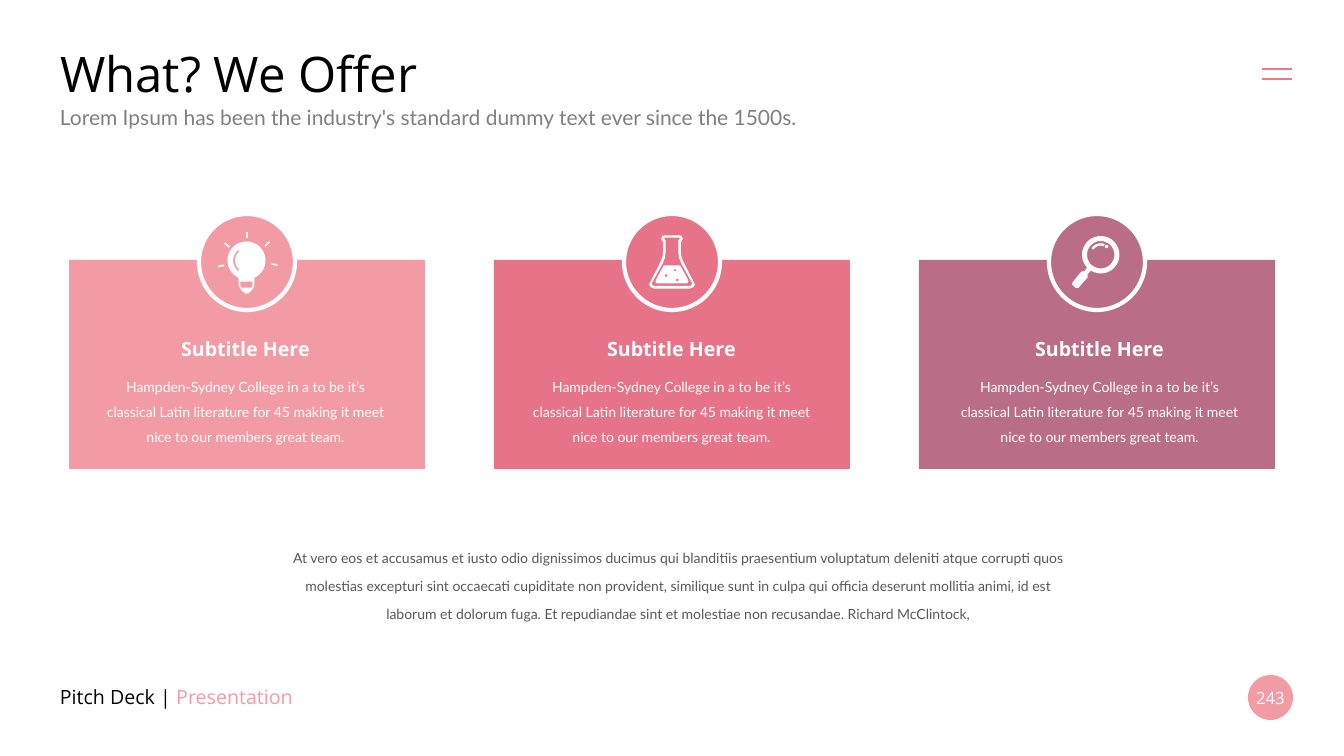
from math import cos, sin, radians
from lxml import etree
from pptx import Presentation, util as u
from pptx.dml.color import RGBColor
from pptx.enum import shapes as es, text as et
from pptx.oxml.ns import qn

PX = 914400 / 100.8
WHITE, PINK, GREY = "FFFFFF", "F29BA5", "595959"
MID, LEFT = et.PP_ALIGN.CENTER, et.PP_ALIGN.LEFT

# Content
TITLE = "What? We Offer"
LEAD = "Lorem Ipsum has been the industry's standard dummy text ever since the 1500s."
FOOT = [("Pitch Deck | ", "000000"), ("Presentation", PINK)]
PAGE = "243"
HEAD = "Subtitle Here"
BODY = ["Hampden-Sydney College in a to be it’s",
        "classical Latin literature for 45 making it meet nice to our members great team."]
NOTE = ["At vero eos et accusamus et iusto odio dignissimos ducimus qui blanditiis "
        "praesentium voluptatum deleniti atque corrupti quos",
        "molestias excepturi sint occaecati cupiditate non provident, similique sunt in "
        "culpa qui officia deserunt mollitia animi, id est laborum et dolorum fuga. "
        "Et repudiandae sint et molestiae non recusandae. Richard McClintock,"]


# Icon outlines, in tenths of a px from the badge centre
def arc(x, y, r, a, b):
    n = max(8, abs(b - a) // 8)
    turns = [radians(a + (b - a) * i / n) for i in range(n + 1)]
    return [(round(x + r * cos(t)), round(y + r * sin(t))) for t in turns]


def ring(x, y, r):
    return arc(x, y, r, 0, 360)


def moon(x, y, far, near, a, b):
    return arc(x, y, far, a, b) + arc(x, y, near, b, a)


def twin(half):
    return half + [(-x, y) for x, y in reversed(half)]


BULB = [
    [arc(-5, -15, 190, 115, 425) + [(75, 240), (50, 280), (12, 317), (-18, 317),
                                    (-56, 280), (-82, 240)],
     [(-65, 197), (55, 197), (55, 240), (45, 257), (-55, 257), (-65, 240)],
     moon(-5, -15, 133, 114, 128, 232)],
    [[(-8, -297), (10, -297), (10, -235), (-8, -235)]],
    [[(-228, -185), (-215, -195), (-170, -155), (-183, -143)]],
    [[(-292, 38), (-235, 25), (-225, 42), (-290, 55)]],
    [[(245, 15), (305, 20), (305, 38), (245, 28)]],
    [[(175, -165), (220, -207), (232, -195), (185, -153)]],
]
FLASK = [[
    twin([(65, -267), (95, -262), (108, -235), (100, -210), (88, -202), (88, -100),
          (95, -50), (115, 0), (217, 200), (230, 225), (217, 250), (180, 265)]),
    twin([(65, -244), (82, -235), (63, -215), (63, -100), (72, -40), (93, 15),
          (198, 205), (200, 230), (180, 240)]),
    twin([(82, 35), (160, 177), (165, 200), (150, 215)]),
    ring(53, 180, 13), ring(30, 82, 11), ring(-60, 135, 13),
]]
LENS = [
    [ring(38, -72, 187), ring(38, -72, 137)],
    [[(-135, 107), (-85, 35), (-45, 65), (-95, 126)]],
    [[(-165, 105), (-145, 92), (-125, 95), (-95, 128), (-95, 155), (-185, 258),
      (-215, 260), (-250, 225), (-245, 205)]],
    [moon(38, -72, 114, 90, 215, 290)],
    [ring(97, -155, 17)],
]
# Colour, icon, left edge of the text
CARDS = [(PINK, BULB, 87), ("E77388", FLASK, 513), ("BA6D87", LENS, 941)]


def px(*vals):
    return [round(v * PX) for v in vals]


def tint(hexa):
    return RGBColor.from_string(hexa)


def paint(shp, fill, edge=None):
    shp.shadow.inherit = False
    shp.fill.solid()
    shp.fill.fore_color.rgb = tint(fill)
    if edge:
        shp.line.color.rgb = tint(edge)
        shp.line.width = u.Pt(3)
    else:
        shp.line.fill.background()


def write(shp, paras, size, face, color, **fmt):
    frame = shp.text_frame
    frame.word_wrap = True
    frame.auto_size = et.MSO_AUTO_SIZE.NONE
    frame.vertical_anchor = fmt.pop("anchor", et.MSO_ANCHOR.TOP)
    bold = fmt.pop("bold", False)
    for i, para in enumerate(paras):
        p = frame.add_paragraph() if i else frame.paragraphs[0]
        for key, val in fmt.items():
            setattr(p, key, val)
        runs = [(para, color)] if isinstance(para, str) else para
        for words, hue in runs:
            r = p.add_run()
            r.text = words
            for key, val in dict(size=u.Pt(size), name=face, bold=bold).items():
                setattr(r.font, key, val)
            r.font.color.rgb = tint(hue)


def label(box, *args, **fmt):
    write(slide.shapes.add_textbox(*px(*box)), *args, **fmt)


def block(kind, box, fill, edge=None):
    shp = slide.shapes.add_shape(kind, *px(*box))
    paint(shp, fill, edge)
    return shp


def draw(icon, x, y):
    group = slide.shapes.add_group_shape()
    for part in icon:
        pen = group.shapes.build_freeform(*part[0][0], scale=PX / 10)
        pen.add_line_segments(part[0][1:])
        for loop in part[1:]:
            pen.move_to(*loop[0])
            pen.add_line_segments(loop[1:])
        paint(pen.convert_to_shape(*px(x, y)), WHITE)


deck = Presentation()
deck.slide_width, deck.slide_height = px(1344, 756)
slide = deck.slides.add_slide(deck.slide_layouts[5])
OVAL, RECT = es.MSO_SHAPE.OVAL, es.MSO_SHAPE.RECTANGLE
CENTRE = et.MSO_ANCHOR.MIDDLE

# Heading
head = slide.shapes.title
head.left, head.top, head.width, head.height = px(50, 39, 1243, 67)
write(head, [TITLE], 35, "Open Sans", "000000", anchor=CENTRE, alignment=LEFT)
label((50, 100, 1243, 35), [LEAD], 15, "Lato", "808080")

# Menu mark
for y in (69, 79):
    bar = slide.shapes.add_connector(es.MSO_CONNECTOR.STRAIGHT, *px(1262, y, 1292, y))
    bar.line.color.rgb = tint("ED7885")
    bar.line.width = u.Pt(1.5)
    etree.SubElement(bar._element.spPr, qn("a:effectLst"))

# Cards
for i, (color, icon, left) in enumerate(CARDS):
    x = 69 + 425 * i
    block(RECT, (x, 260, 356, 209), color)
    block(OVAL, (x + 130, 214, 96, 96), color, WHITE)
    draw(icon, x + 178, 262)
    label((left, 365, 317, 84), BODY, 10, "Lato", WHITE,
          alignment=MID, line_spacing=u.Pt(18))
    label((left + 27, 335, 263, 32), [HEAD], 14, "Open Sans", WHITE,
          bold=True, alignment=MID, line_spacing=0.9)

# Closing note
label((271, 533, 814, 91), NOTE, 10, "Lato", GREY, alignment=MID, line_spacing=u.Pt(20))

# Footer and page badge
label((50, 677, 332, 40), [FOOT], 14, "Open Sans", PINK, anchor=CENTRE)
badge = block(OVAL, (1248, 675, 45, 45), PINK)
frame = badge.text_frame
for side in ("left", "right", "top", "bottom"):
    setattr(frame, "margin_" + side, 0)
write(badge, [PAGE], 12, "Open Sans", WHITE, anchor=CENTRE, alignment=MID)

deck.save("out.pptx")
